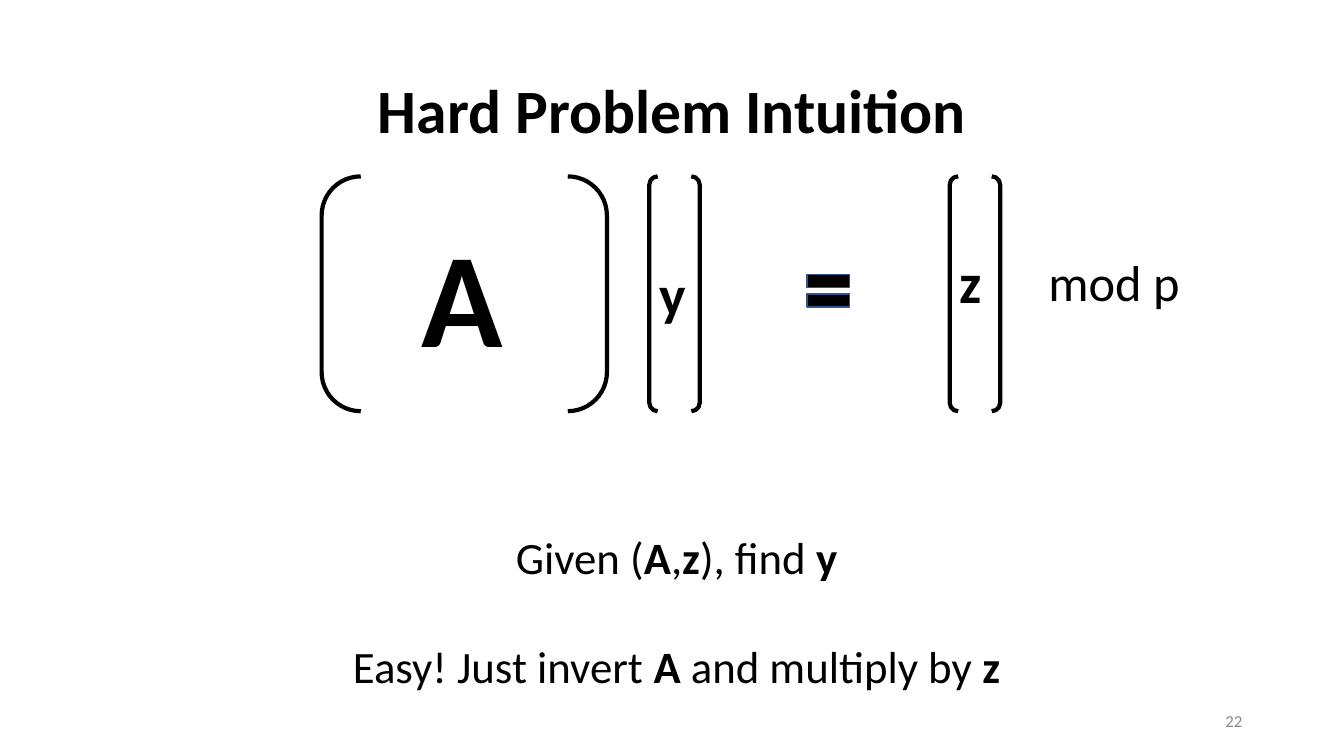
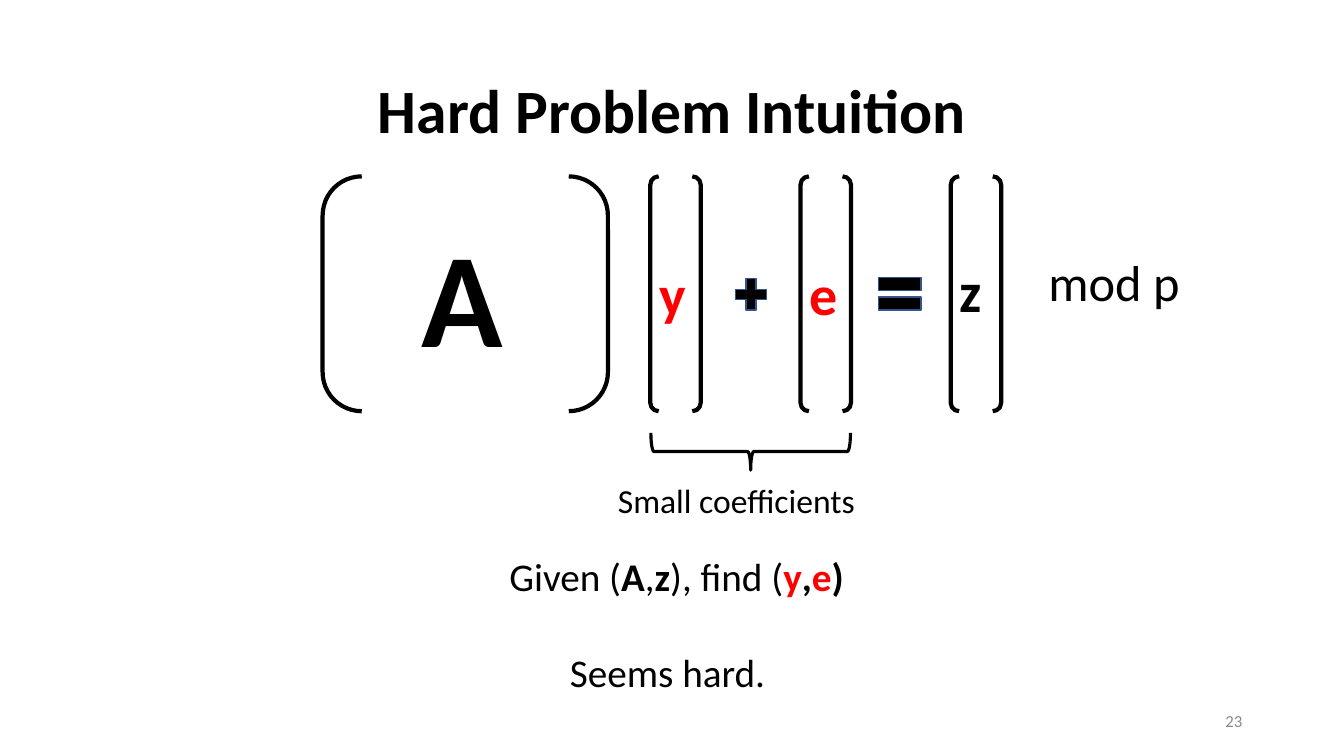
from pptx import Presentation
from pptx.dml.color import RGBColor
from pptx.enum.shapes import MSO_SHAPE
from pptx.enum.text import MSO_ANCHOR, PP_ALIGN
from pptx.util import Inches, Pt

BLACK = RGBColor(0x00, 0x00, 0x00)
RED = RGBColor(0xFF, 0x00, 0x00)
GRAY = RGBColor(0x89, 0x89, 0x89)
OUTLINE = RGBColor(0x32, 0x54, 0x91)

BRACKETS = MSO_SHAPE.DOUBLE_BRACKET
BRACE = MSO_SHAPE.RIGHT_BRACE
EQUALS = MSO_SHAPE.MATH_EQUAL
PLUS = MSO_SHAPE.MATH_PLUS
LEFT, CENTER, RIGHT = PP_ALIGN.LEFT, PP_ALIGN.CENTER, PP_ALIGN.RIGHT
TOP, MIDDLE = MSO_ANCHOR.TOP, MSO_ANCHOR.MIDDLE

FONT = "Calibri"
TITLE = "Hard Problem Intuition"
MODULUS = "mod p"
MATRIX_LEFT, MATRIX_WIDTH = 3.19, 2.83
VECTOR_LEFT, VECTOR_STEP, VECTOR_WIDTH = 6.44, 1.49, 0.5
BRACKET_TOP, BRACKET_HEIGHT = 1.75, 2.33
STATEMENT_LEFT, STATEMENT_WIDTH = 2.42, 8.58

SLIDES = [
    {
        "number": "22",
        "shift": 0,
        "vectors": [("y", 0, 2.53, BLACK), ("z", 2, 2.41, BLACK)],
        "operators": [(EQUALS, (7.93, 2.61, 0.57, 0.55))],
        "size": 32,
        "statements": [
            (0, 5.21, [("Given (", False, BLACK), ("A", True, BLACK), (",", False, BLACK),
                       ("z", True, BLACK), ("), find ", False, BLACK), ("y", True, BLACK)]),
            (0, 6.29, [("Easy! Just invert ", False, BLACK), ("A ", True, BLACK),
                       ("and multiply by", False, BLACK), (" z", True, BLACK)]),
        ],
    },
    {
        "number": "23",
        "shift": 0.01,
        "vectors": [("y", 0, 2.53, RED), ("e", 1, 2.53, RED), ("z", 2, 2.5, BLACK)],
        "operators": [(PLUS, (7.24, 2.71, 0.42, 0.42)), (EQUALS, (8.64, 2.64, 0.57, 0.55))],
        "brace_label": "Small coefficients",
        "size": 28,
        "statements": [
            (0, 5.43, [("Given (", False, BLACK), ("A", True, BLACK), (",", False, BLACK),
                       ("z", True, BLACK), ("), find (", False, BLACK), ("y", True, RED),
                       (",", True, BLACK), ("e", True, RED), (")", True, BLACK)]),
            (-0.09, 6.38, [("Seems hard.", False, BLACK)]),
        ],
    },
]


def add_text(slide, box, runs, size, align=LEFT, anchor=TOP, spacing=1.0):
    frame = slide.shapes.add_textbox(*map(Inches, box)).text_frame
    frame.word_wrap = True
    frame.vertical_anchor = anchor
    paragraph = frame.paragraphs[0]
    paragraph.alignment = align
    paragraph.line_spacing = spacing
    for text, bold, color in runs:
        run = paragraph.add_run()
        run.text = text
        for name, value in {"name": FONT, "size": Pt(size), "bold": bold}.items():
            setattr(run.font, name, value)
        run.font.color.rgb = color


def add_mark(slide, kind, box, line_color, line_width, fill=None, rotation=0):
    mark = slide.shapes.add_shape(kind, *map(Inches, box))
    mark.shadow.inherit = False
    mark.rotation = rotation
    mark.line.color.rgb = line_color
    mark.line.width = Pt(line_width)
    if fill is None:
        mark.fill.background()
    else:
        mark.fill.solid()
        mark.fill.fore_color.rgb = fill


def add_brackets(slide, left, width):
    add_mark(slide, BRACKETS, (left, BRACKET_TOP, width, BRACKET_HEIGHT), BLACK, 3)


def add_equation(slide, content):
    shift = content["shift"]
    add_brackets(slide, MATRIX_LEFT + shift, MATRIX_WIDTH)
    add_text(slide, (4.08, 2.06, 0.5, 1.72), [("A", True, BLACK)], 96)
    for letter, column, top, color in content["vectors"]:
        left = VECTOR_LEFT + column * VECTOR_STEP
        add_brackets(slide, left + shift, VECTOR_WIDTH)
        add_text(slide, (left, top, 0.49, 0.77), [(letter, True, color)], 40)
    for kind, box in content["operators"]:
        add_mark(slide, kind, box, OUTLINE, 1, fill=BLACK)
    add_text(slide, (10.3, 2.44, 2.5, 0.71), [(MODULUS, False, BLACK)], 36)


def build_slide(deck, content):
    slide = deck.slides.add_slide(deck.slide_layouts[6])
    add_text(slide, (0.92, 0.4, 11.5, 1.45), [(TITLE, True, BLACK)], 44, CENTER, MIDDLE, 0.9)
    add_text(slide, (9.42, 6.95, 3, 0.4), [(content["number"], False, GRAY)], 12, RIGHT, MIDDLE)
    add_equation(slide, content)
    if "brace_label" in content:
        add_mark(slide, BRACE, (7.26, 3.49, 0.37, 1.98), BLACK, 2.25, rotation=90)
        add_text(slide, (6.03, 4.71, 2.69, 0.51), [(content["brace_label"], False, BLACK)], 24)
    for offset, top, runs in content["statements"]:
        box = (STATEMENT_LEFT + offset, top, STATEMENT_WIDTH, 0.6)
        add_text(slide, box, runs, content["size"], CENTER)


def main():
    deck = Presentation()
    deck.slide_width, deck.slide_height = Inches(13.33), Inches(7.5)
    for content in SLIDES:
        build_slide(deck, content)
    deck.save("out.pptx")


if __name__ == "__main__":
    main()
